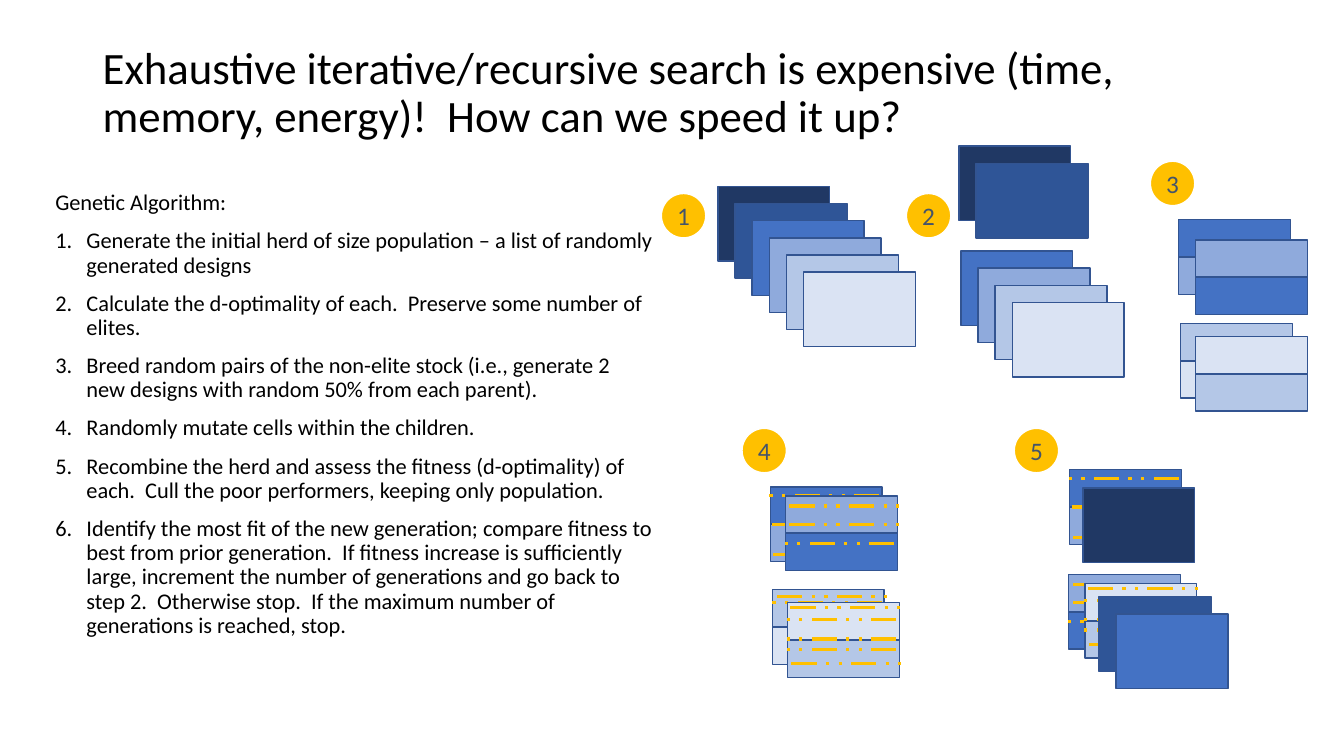
from pptx import Presentation
from pptx import util as u
from pptx.dml.color import RGBColor
from pptx.enum import dml, shapes, text
from pptx.oxml.ns import qn
from lxml import etree

FONT = "Calibri"
OUTLINE, GOLD = "325491", "FFC000"
HERD = ["203864", "2F5597", "4472C4", "8FAADC", "B4C7E7", "DAE3F3"]
ELITE, SECOND, MID, SOFT, PALE, PALEST = HERD
CARD_W, CARD_H, STAGGER, BADGE = 1.11, 0.74, 0.17, 0.44

# Each child: top half, bottom half, mutations as (dx, dy); dx > 0 runs rightwards
CHILDREN = {
    "mid": (MID, SOFT, [(0.03, 0.67), (0.02, 0.37), (-0.01, 0.09)]),
    "soft": (SOFT, MID, [(0.04, 0.1), (0.04, 0.28), (-0.01, 0.47)]),
    "pale": (PALE, PALEST, [(0.05, 0.07), (0, 0.13)]),
    "palest": (PALEST, PALE, [(0.03, 0.05), (-0.01, 0.17), (-0.01, 0.36),
                              (-0.01, 0.46), (0.04, 0.6)]),
}

TITLE = ("Exhaustive iterative/recursive search is expensive (time, memory, "
         "energy)!  How can we speed it up?")
HEADING = "Genetic Algorithm:"
STEPS = [
    "Generate the initial herd of size population – a list of randomly generated designs",
    "Calculate the d-optimality of each.  Preserve some number of elites.",
    "Breed random pairs of the non-elite stock (i.e., generate 2 new designs with "
    "random 50% from each parent).",
    "Randomly mutate cells within the children.",
    "Recombine the herd and assess the fitness (d-optimality) of each.  Cull the poor "
    "performers, keeping only population.",
    "Identify the most fit of the new generation; compare fitness to best from prior "
    "generation.  If fitness increase is sufficiently large, increment the number of "
    "generations and go back to step 2.  Otherwise stop.  If the maximum number of "
    "generations is reached, stop.",
]


def rgb(value):
    return RGBColor.from_string(value)


def style_run(p, size, color):
    font = p.runs[0].font
    font.name, font.size = FONT, u.Pt(size)
    font.color.rgb = rgb(color)


# Text regions
def add_text(s, x, y, w, h, lines, size):
    box = s.shapes.add_textbox(*map(u.Inches, (x, y, w, h)))
    tf = box.text_frame
    tf.word_wrap = True
    tf.text = "\n".join(lines)
    for i, p in enumerate(tf.paragraphs):
        p.line_spacing = 0.9
        p.space_before = u.Pt(10 if i else 0)
        style_run(p, size, "000000")
    return tf


def add_step_list(s, x, y, w, h):
    tf = add_text(s, x, y, w, h, [HEADING] + STEPS, 16)
    for p in tf.paragraphs[1:]:
        pPr = p._p.get_or_add_pPr()
        pPr.set("marL", str(u.Inches(0.31)))
        pPr.set("indent", str(u.Inches(-0.31)))
        etree.SubElement(pPr, qn("a:buAutoNum"), type="arabicPeriod")


# Building parts of the diagrams
def add_filled(s, kind, x, y, w, h, fill, line):
    sp = s.shapes.add_shape(kind, *map(u.Inches, (x, y, w, h)))
    sp.shadow.inherit = False
    sp.fill.solid()
    sp.fill.fore_color.rgb = rgb(fill)
    sp.line.color.rgb = rgb(line)
    sp.line.width = u.Pt(1)
    return sp


def add_badge(s, x, y, number):
    sp = add_filled(s, shapes.MSO_SHAPE.OVAL, x, y, BADGE, BADGE, GOLD, "FFFFFF")
    tf = sp.text_frame
    tf.margin_left = tf.margin_right = tf.margin_top = tf.margin_bottom = 0
    tf.vertical_anchor = text.MSO_ANCHOR.MIDDLE
    tf.text = str(number)
    p = tf.paragraphs[0]
    p.alignment = text.PP_ALIGN.CENTER
    style_run(p, 18, "44546A")


def add_card(s, x, y, fill, h=CARD_H):
    add_filled(s, shapes.MSO_SHAPE.RECTANGLE, x, y, CARD_W, h, fill, OUTLINE)


def add_stack(s, x, y, fills):
    for i, fill in enumerate(fills):
        add_card(s, x + i * STAGGER, y + i * STAGGER, fill)


def add_mutation(s, x, y, rightwards):
    ends = (x, x + 1.09) if rightwards else (x + 1.09, x)
    line = s.shapes.add_connector(
        shapes.MSO_CONNECTOR.STRAIGHT, u.Inches(ends[0]), u.Inches(y),
        u.Inches(ends[1]), u.Inches(y))
    line.line.color.rgb = rgb(GOLD)
    line.line.width = u.Pt(2.25)
    line.line.dash_style = dml.MSO_LINE.DASH_DOT_DOT
    etree.SubElement(line._element.spPr, qn("a:effectLst"))


def add_child(s, x, y, name, mutated):
    top, bottom, mutations = CHILDREN[name]
    half = CARD_H / 2
    add_card(s, x, y, top, half)
    add_card(s, x, y + half, bottom, half)
    if mutated:
        for dx, dy in mutations:
            add_mutation(s, x + dx, y + dy, dx > 0)


# The five stages
def add_initial_herd(s, x, y):
    add_badge(s, x, y + 0.07, 1)
    add_stack(s, x + 0.56, y, HERD)


def add_elites(s, x, y):
    add_badge(s, x, y + 0.47, 2)
    add_stack(s, x + 0.52, y, HERD[:2])
    add_stack(s, x + 0.54, y + 1.04, HERD[2:])


def add_offspring(s, x, y, number, places, mutated):
    add_badge(s, x, y, number)
    for name, (dx, dy) in zip(CHILDREN, places):
        add_child(s, x + dx, y + dy, name, mutated)


def add_recombined_herd(s, x, y):
    add_badge(s, x, y, 5)
    for name, dx, dy in [("soft", 0.54, 1.45), ("palest", 0.7, 1.54), ("mid", 0.55, 0.41)]:
        add_child(s, x + dx, y + dy, name, True)
    add_card(s, x + 0.68, y + 0.59, ELITE)
    add_stack(s, x + 0.84, y + 1.67, [SECOND, MID])


def main():
    prs = Presentation()
    prs.slide_width, prs.slide_height = u.Inches(13.33), u.Inches(7.5)
    s = prs.slides.add_slide(prs.slide_layouts[6])
    add_text(s, 0.92, 0.4, 11.5, 1.45, [TITLE], 32)
    add_step_list(s, 0.45, 1.85, 6.13, 4.91)
    add_initial_herd(s, 6.56, 1.85)
    add_elites(s, 8.99, 1.45)
    add_offspring(s, 11.41, 1.6, 3,
                  [(0.28, 0.58), (0.45, 0.78), (0.3, 1.61), (0.45, 1.74)], False)
    add_offspring(s, 7.36, 4.25, 4,
                  [(0.28, 0.58), (0.43, 0.67), (0.3, 1.6), (0.45, 1.73)], True)
    add_recombined_herd(s, 10.06, 4.25)
    prs.save("out.pptx")


if __name__ == "__main__":
    main()
